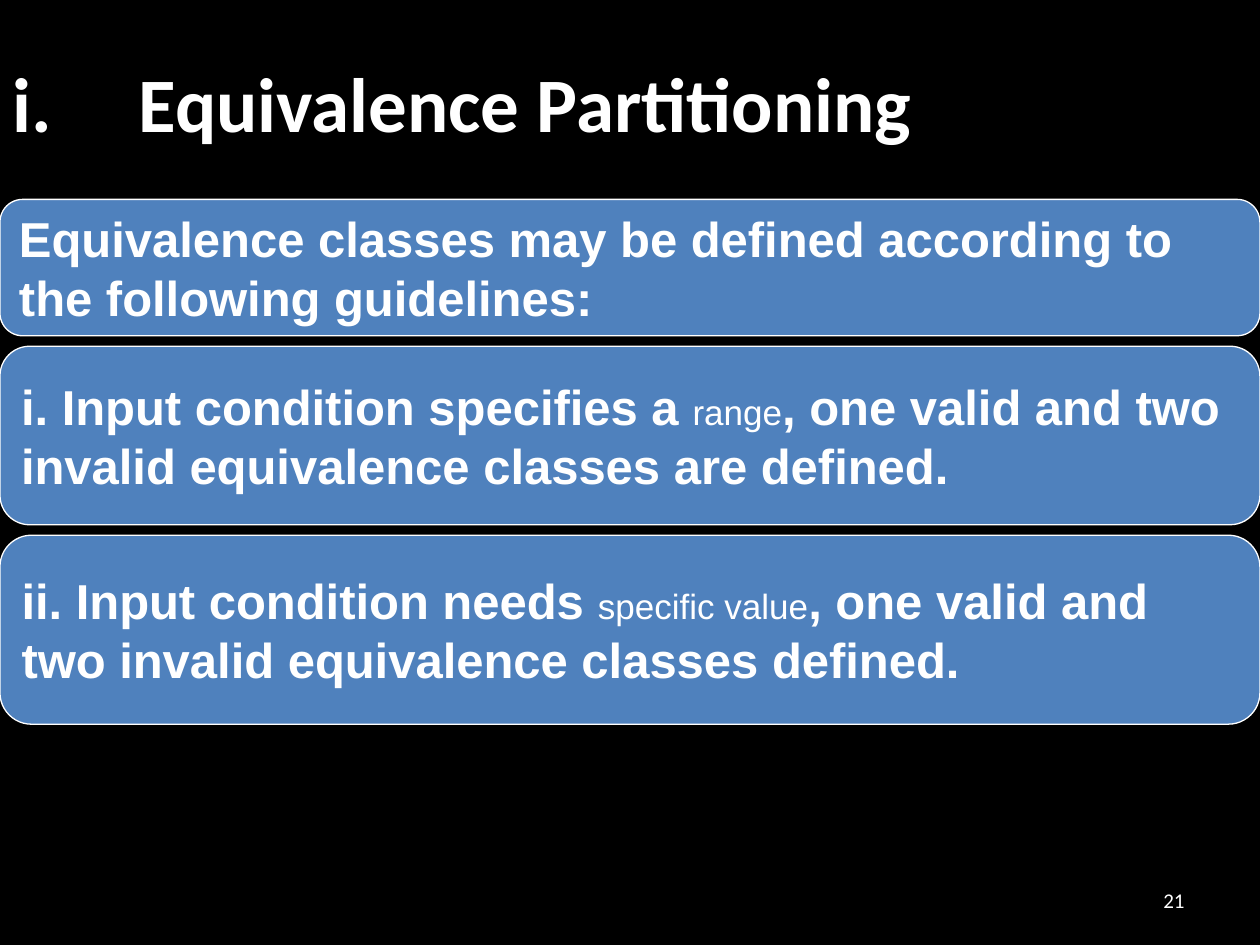
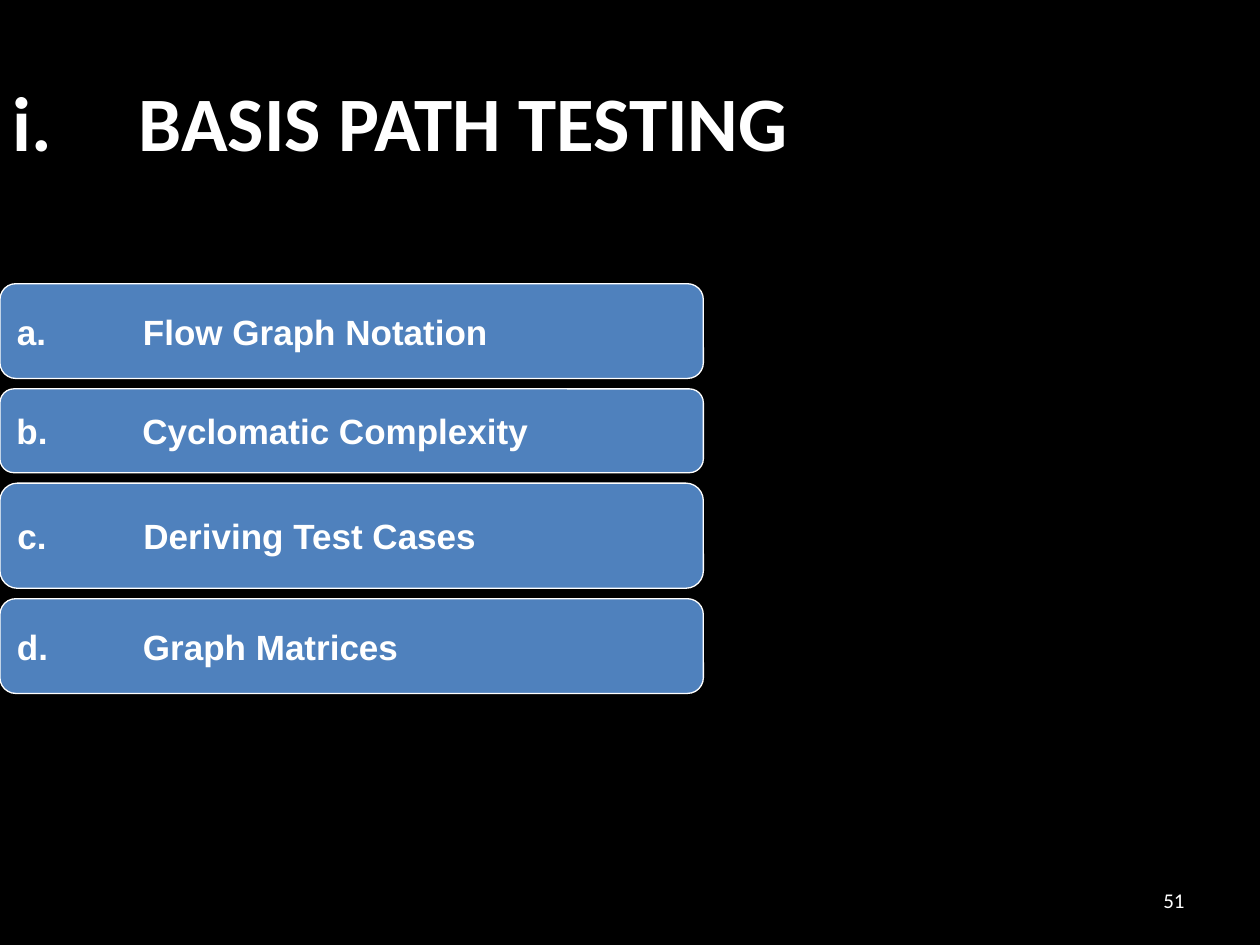
"""Build two software testing slides with stacked rounded boxes."""

from lxml.etree import SubElement
from pptx import Presentation
from pptx.dml.color import RGBColor
from pptx.enum.shapes import MSO_SHAPE
from pptx.enum.text import MSO_ANCHOR, MSO_AUTO_SIZE, PP_ALIGN
from pptx.oxml.ns import qn
from pptx.util import Cm, Pt

COLORS = {"background": "000000", "text": "FFFFFF", "box": "4F81BD", "outline": "FFFFFF"}
TITLE_FONT = "Calibri"
BODY_FONT = "Arial"
BOX_GAP = 0.21
TAB_STOP = 2.54

GUIDELINES = [
    (2.75, ["Equivalence classes may be defined according to the following guidelines:"]),
    (3.6, ["i. Input condition specifies a ", "range",
           ", one valid and two invalid equivalence classes are defined."]),
    (3.81, ["ii. Input condition needs ", "specific value",
            ", one valid and two invalid equivalence classes defined."]),
]
PATH_TOPICS = [
    (1.91, ["a.\tFlow Graph Notation"]),
    (1.69, ["b.\tCyclomatic Complexity"]),
    (2.12, ["c.\tDeriving Test Cases"]),
    (1.91, ["d.\tGraph Matrices"]),
]


def color(name):
    return RGBColor.from_string(COLORS[name])


def set_font(font, name, size, bold):
    font.name = name
    font.size = Pt(size)
    font.bold = bold
    font.color.rgb = color("text")


def add_tab_stop(paragraph):
    tabs = SubElement(paragraph._p.get_or_add_pPr(), qn("a:tabLst"))
    SubElement(tabs, qn("a:tab"), pos=str(Cm(TAB_STOP)), algn="l")


def prepare_frame(shape):
    frame = shape.text_frame
    frame.word_wrap = True
    frame.auto_size = MSO_AUTO_SIZE.NONE
    frame.vertical_anchor = MSO_ANCHOR.MIDDLE
    return frame.paragraphs[0]


def add_title(slide, text, top, width, height):
    title = slide.shapes.title
    title.left, title.top = Cm(0), Cm(top)
    title.width, title.height = Cm(width), Cm(height)
    paragraph = prepare_frame(title)
    paragraph.text = text
    paragraph.alignment = PP_ALIGN.LEFT
    add_tab_stop(paragraph)
    set_font(paragraph.font, TITLE_FONT, 44, True)


def add_page_number(slide, number):
    box = slide.shapes.add_textbox(Cm(18.2), Cm(17.65), Cm(5.93), Cm(1.01))
    paragraph = prepare_frame(box)
    paragraph.text = str(number)
    paragraph.alignment = PP_ALIGN.RIGHT
    set_font(paragraph.font, TITLE_FONT, 12, False)


def add_box(slide, pieces, top, width, height, size):
    box = slide.shapes.add_shape(
        MSO_SHAPE.ROUNDED_RECTANGLE, Cm(0), Cm(top), Cm(width), Cm(height))
    box.shadow.inherit = False
    box.fill.solid()
    box.fill.fore_color.rgb = color("box")
    box.line.color.rgb = color("outline")
    box.line.width = Pt(0.75)
    paragraph = prepare_frame(box)
    paragraph.alignment = PP_ALIGN.LEFT
    add_tab_stop(paragraph)
    if len(pieces) == 1:
        paragraph.text = pieces[0]
        set_font(paragraph.font, BODY_FONT, size, True)
        return
    for index, piece in enumerate(pieces):
        run = paragraph.add_run()
        run.text = piece
        is_term = index % 2 == 1
        set_font(run.font, BODY_FONT, 20 if is_term else size, not is_term)


def add_box_stack(slide, boxes, top, width, size):
    for height, pieces in boxes:
        add_box(slide, pieces, top, width, height, size)
        top += height + BOX_GAP


def add_slide(presentation, number):
    slide = presentation.slides.add_slide(presentation.slide_layouts.get_by_name("Title Only"))
    add_page_number(slide, number)
    return slide


def main():
    presentation = Presentation()
    presentation.slide_width, presentation.slide_height = Cm(25.4), Cm(19.05)
    background = presentation.slide_master.background.fill
    background.solid()
    background.fore_color.rgb = color("background")

    slide = add_slide(presentation, 21)
    add_title(slide, "i.\tEquivalence Partitioning", 0, 21.59, 4.09)
    add_box_stack(slide, GUIDELINES, 4.02, 25.4, 28)

    slide = add_slide(presentation, 51)
    add_title(slide, "i.\tBASIS PATH TESTING", 0.85, 22.86, 3.18)
    add_box_stack(slide, PATH_TOPICS, 5.72, 14.18, 20)

    presentation.save("out.pptx")


if __name__ == "__main__":
    main()
